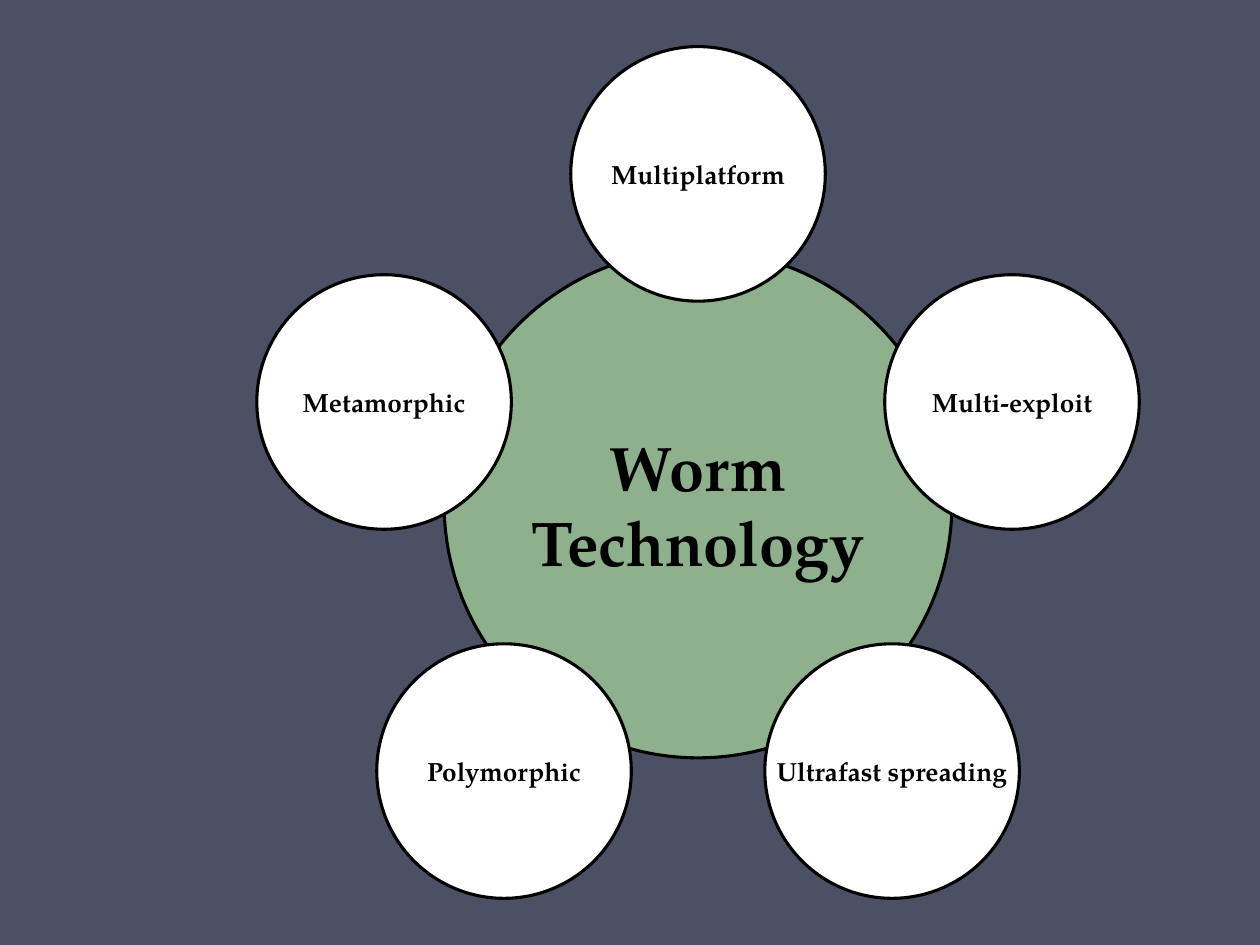
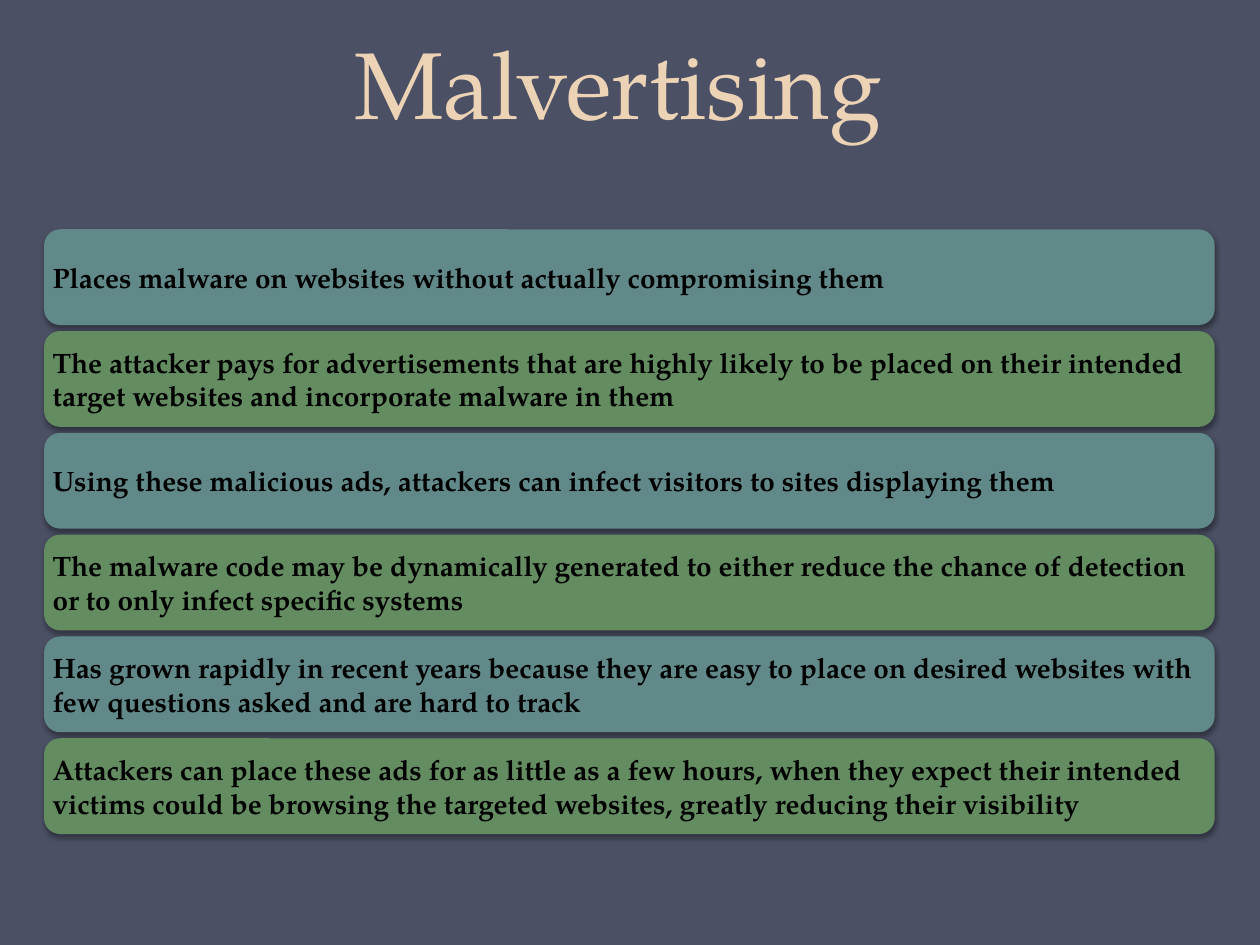
from math import cos, radians, sin

from lxml import etree
from pptx import Presentation
from pptx.dml.color import RGBColor
from pptx.enum.shapes import MSO_SHAPE
from pptx.enum.text import MSO_ANCHOR, PP_ALIGN
from pptx.oxml.ns import qn
from pptx.util import Inches, Pt

OVAL, ROUND = MSO_SHAPE.OVAL, MSO_SHAPE.ROUNDED_RECTANGLE
LEFT, CENTER = PP_ALIGN.LEFT, PP_ALIGN.CENTER
MIDDLE, BOTTOM = MSO_ANCHOR.MIDDLE, MSO_ANCHOR.BOTTOM

FONT = "TeX Gyre Pagella"
BACK, SAND, INK = "4B5064", "EDD3B6", "000000"
GREEN, WHITE = "8FB08C", "FFFFFF"
BANDS = "61898A", "648C61"

TRAITS = ["Multiplatform", "Multi-exploit", "Ultrafast spreading",
          "Polymorphic", "Metamorphic"]
POINTS = [
    "Places malware on websites without actually compromising them",
    "The attacker pays for advertisements that are highly likely to be placed "
    "on their intended target websites and incorporate malware in them",
    "Using these malicious ads, attackers can infect visitors to sites "
    "displaying them",
    "The malware code may be dynamically generated to either reduce the chance "
    "of detection or to only infect specific systems",
    "Has grown rapidly in recent years because they are easy to place on "
    "desired websites with few questions asked and are hard to track",
    "Attackers can place these ads for as little as a few hours, when they "
    "expect their intended victims could be browsing the targeted websites, "
    "greatly reducing their visibility",
]


def color(code):
    """Turn a hex string into a colour."""
    return RGBColor.from_string(code)


def assign(item, values):
    """Set each named attribute of an item."""
    for name, value in values.items():
        setattr(item, name, value)


def write(shape, text, size, ink=INK, bold=True, align=CENTER, anchor=MIDDLE,
          wrap=True, pad=(0.05, 0.05)):
    """Fill a shape with one paragraph and return it."""
    side, edge = map(Inches, pad)
    frame = shape.text_frame
    assign(frame, {"word_wrap": wrap, "vertical_anchor": anchor,
                   "margin_left": side, "margin_right": side,
                   "margin_top": edge, "margin_bottom": edge})
    para = frame.paragraphs[0]
    assign(para, {"text": text, "alignment": align})
    font = para.runs[0].font
    assign(font, {"name": FONT, "size": Pt(size), "bold": bold})
    font.color.rgb = color(ink)
    return para


def draw(slide, kind, box, fill):
    """Add a filled shape with no shadow and no line."""
    shape = slide.shapes.add_shape(kind, *map(Inches, box))
    shape.shadow.inherit = False
    shape.fill.solid()
    shape.fill.fore_color.rgb = color(fill)
    shape.line.fill.background()
    return shape


def shade(shape):
    """Cast a soft shadow straight down."""
    effects = shape._element.spPr.find(qn("a:effectLst"))
    drop = etree.SubElement(effects, qn("a:outerShdw"), blurRad=str(Pt(3.1)),
                            dist=str(Pt(1.8)), dir="5400000", rotWithShape="0")
    tint = etree.SubElement(drop, qn("a:srgbClr"), val=INK)
    etree.SubElement(tint, qn("a:alpha"), val="35000")


def disc(slide, x, y, width, fill, text, size, **style):
    """Draw a labelled circle around a centre."""
    shape = draw(slide, OVAL, (x - width / 2, y - width / 2, width, width), fill)
    shape.line.color.rgb = color(INK)
    shape.line.width = Pt(1.75)
    write(shape, text, size, **style)


def wheel(slide, x, y, hub, rim, reach):
    """Place the traits evenly around the hub."""
    disc(slide, x, y, hub, GREEN, "Worm Technology", 36)
    for i, trait in enumerate(TRAITS):
        turn = radians(360 / len(TRAITS) * i)
        disc(slide, x + reach * sin(turn), y - reach * cos(turn), rim, WHITE,
             trait, 15, wrap=False, pad=(0.02, 0.02))


def title(slide, box, text):
    """Write the slide title."""
    shape = slide.shapes.add_textbox(*map(Inches, box))
    para = write(shape, text, 54, SAND, False, anchor=BOTTOM, pad=(0.1, 0.05))
    para.line_spacing = Pt(58)


def stack(slide, box, high):
    """Spread the points as bars of alternating colour over a box."""
    left, top, width, height = box
    step = (height - high) / (len(POINTS) - 1)
    for i, point in enumerate(POINTS):
        bar = draw(slide, ROUND, (left, top + i * step, width, high),
                   BANDS[i % len(BANDS)])
        shade(bar)
        write(bar, point, 16, align=LEFT, pad=(0.03, 0.03))


def page(deck):
    """Add a blank slide with the shared background."""
    slide = deck.slides.add_slide(deck.slide_layouts[6])
    fill = slide.background.fill
    fill.solid()
    fill.fore_color.rgb = color(BACK)
    return slide


def main():
    """Build and save the deck."""
    deck = Presentation()
    assign(deck, {"slide_width": Inches(10), "slide_height": Inches(7.5)})
    wheel(page(deck), 5.54, 4, 4.03, 2.02, 2.62)
    slide = page(deck)
    title(slide, (0.5, 0, 9, 1.15), "Malvertising ")
    stack(slide, (0.35, 1.82, 9.29, 4.8), 0.76)
    deck.save("out.pptx")


if __name__ == "__main__":
    main()
